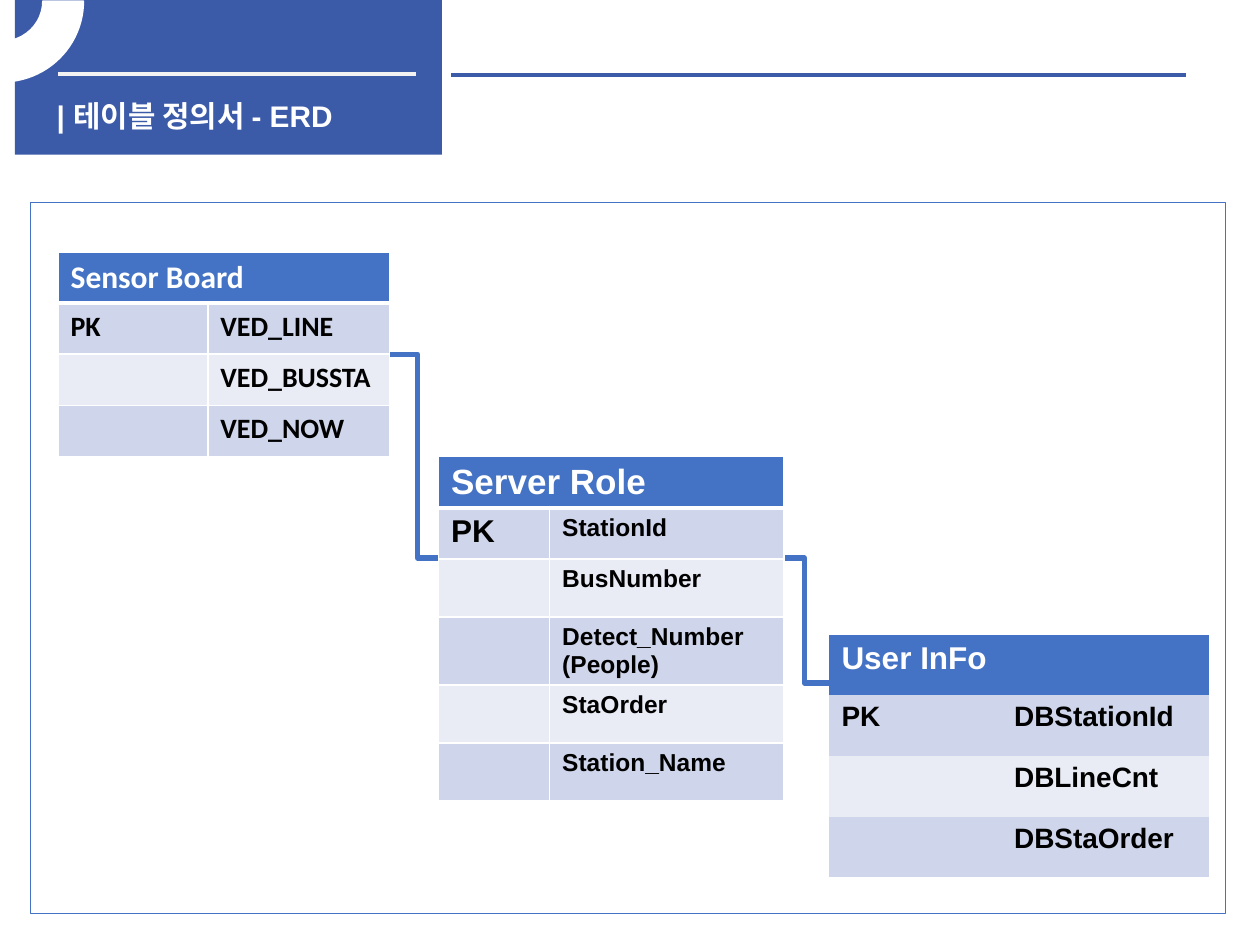
from lxml import etree
from pptx import Presentation
from pptx import util as u
from pptx.dml.color import RGBColor
from pptx.enum import shapes, text
from pptx.oxml.ns import qn

NAVY, BLUE, WHITE, BLACK = "3B5AA8", "4472C4", "FFFFFF", "000000"
BANDS = ["CFD5EA", "E9EBF5"]
TITLE = "| 테이블 정의서 - ERD"

TABLES = [
    {"name": "Sensor Board", "font": "Calibri", "sizes": (18, 16, 16),
     "at": (1.17, 5.08), "cols": (3.02, 3.66), "rows": [1.03] * 4, "grid": True,
     "fields": ["VED_LINE", "VED_BUSSTA", "VED_NOW"]},
    {"name": "Server Role", "font": "Arial", "sizes": (20, 18, 14),
     "at": (8.84, 9.2), "cols": (2.24, 4.72),
     "rows": [1.03, 1.03, 1.17, 1.37, 1.17, 1.17], "grid": True,
     "fields": ["StationId", "BusNumber", "Detect_Number\n(People)",
                "StaOrder", "Station_Name"]},
    {"name": "User InFo", "font": "Arial", "sizes": (18, 16, 16),
     "at": (16.71, 12.8), "cols": (3.48, 4.19), "rows": [1.22] * 4, "grid": False,
     "fields": ["DBStationId", "DBLineCnt", "DBStaOrder"]},
]
RULES = [((1.17, 1.5, 8.38, 1.5), "F2F2F2"), ((9.09, 1.52, 23.9, 1.52), NAVY)]
LINKS = [(7.87, 7.14, 8.97, 11.25), (15.67, 11.25, 16.76, 13.77)]


def cm(nums):
    return [u.Cm(n) for n in nums]


def paint(fill, hue):
    fill.solid()
    fill.fore_color.rgb = RGBColor.from_string(hue)


def style(frame, font, size, hue):
    for para in frame.paragraphs:
        para.alignment = text.PP_ALIGN.LEFT
        for run in para.runs:
            run.font.name = font
            run.font.size = u.Pt(size)
            run.font.bold = True
            run.font.color.rgb = RGBColor.from_string(hue)


def shape(slide, kind, box, fill=None, line=None, width=1):
    item = slide.shapes.add_shape(kind, *cm(box))
    item.shadow.inherit = False
    if fill:
        paint(item.fill, fill)
    else:
        item.fill.background()
    if line:
        paint(item.line.fill, line)
        item.line.width = u.Pt(width)
    else:
        item.line.fill.background()
    return item


def link(slide, kind, ends, hue, width):
    item = slide.shapes.add_connector(kind, *cm(ends))
    paint(item.line.fill, hue)
    item.line.width = u.Pt(width)
    etree.SubElement(item._element.spPr, qn("a:effectLst"))


def border(cell, side, width):
    edge = etree.SubElement(cell._tc.get_or_add_tcPr(), qn("a:ln" + side))
    if not width:
        etree.SubElement(edge, qn("a:noFill"))
        return
    edge.set("w", str(u.Pt(width)))
    solid = etree.SubElement(edge, qn("a:solidFill"))
    etree.SubElement(solid, qn("a:srgbClr")).set("val", WHITE)


def table(slide, data):
    cols, rows = data["cols"], data["rows"]
    box = (*data["at"], sum(cols), sum(rows))
    grid = slide.shapes.add_table(len(rows), len(cols), *cm(box)).table
    for col, size in zip(grid.columns, cols):
        col.width = u.Cm(size)
    for row, size in zip(grid.rows, rows):
        row.height = u.Cm(size)
    grid.cell(0, 0).merge(grid.cell(0, 1))
    keys = ["PK"] + [""] * (len(data["fields"]) - 1)
    words = [(data["name"], "")] + list(zip(keys, data["fields"]))
    head, key, field = data["sizes"]
    for r, pair in enumerate(words):
        for c, word in enumerate(pair):
            cell = grid.cell(r, c)
            for side in "LRTB":
                thick = (r, side) in [(0, "B"), (1, "T")]
                border(cell, side, (3 if thick else 1) if data["grid"] else 0)
            paint(cell.fill, BANDS[(r - 1) % 2] if r else BLUE)
            if word:
                cell.text_frame.text = word
                size = (key, field)[c] if r else head
                style(cell.text_frame, data["font"], size, BLACK if r else WHITE)


def title(slide):
    item = slide.shapes.title
    item.left, item.top, item.width, item.height = cm((0.89, 1.93, 8, 0.81))
    frame = item.text_frame
    frame.text = TITLE
    frame.word_wrap = True
    frame.auto_size = text.MSO_AUTO_SIZE.NONE
    frame.vertical_anchor = text.MSO_ANCHOR.MIDDLE
    style(frame, "Arial", 17, WHITE)
    slide.shapes._spTree.append(item._element)


def main():
    deck = Presentation()
    deck.slide_width, deck.slide_height = cm((25.4, 19.05))
    slide = deck.slides.add_slide(deck.slide_layouts[5])
    kind, wire = shapes.MSO_SHAPE, shapes.MSO_CONNECTOR

    shape(slide, kind.RECTANGLE, (0.3, 0, 8.61, 3.12), NAVY)
    for ends, hue in RULES:
        link(slide, wire.STRAIGHT, ends, hue, 2.25)
    title(slide)
    arc = shape(slide, kind.BLOCK_ARC, (-1.6, -1.6, 3.28, 3.25), WHITE, WHITE)
    for i, value in enumerate((96.95, 0, 0.25)):
        arc.adjustments[i] = value
    arc._element.spPr.xfrm.set("flipV", "1")
    shape(slide, kind.RECTANGLE, (0.61, 4.09, 24.1, 14.33), None, BLUE, 0.75)

    for ends in LINKS:
        link(slide, wire.ELBOW, ends, BLUE, 3)
    for data in TABLES:
        table(slide, data)
    deck.save("out.pptx")


if __name__ == "__main__":
    main()
